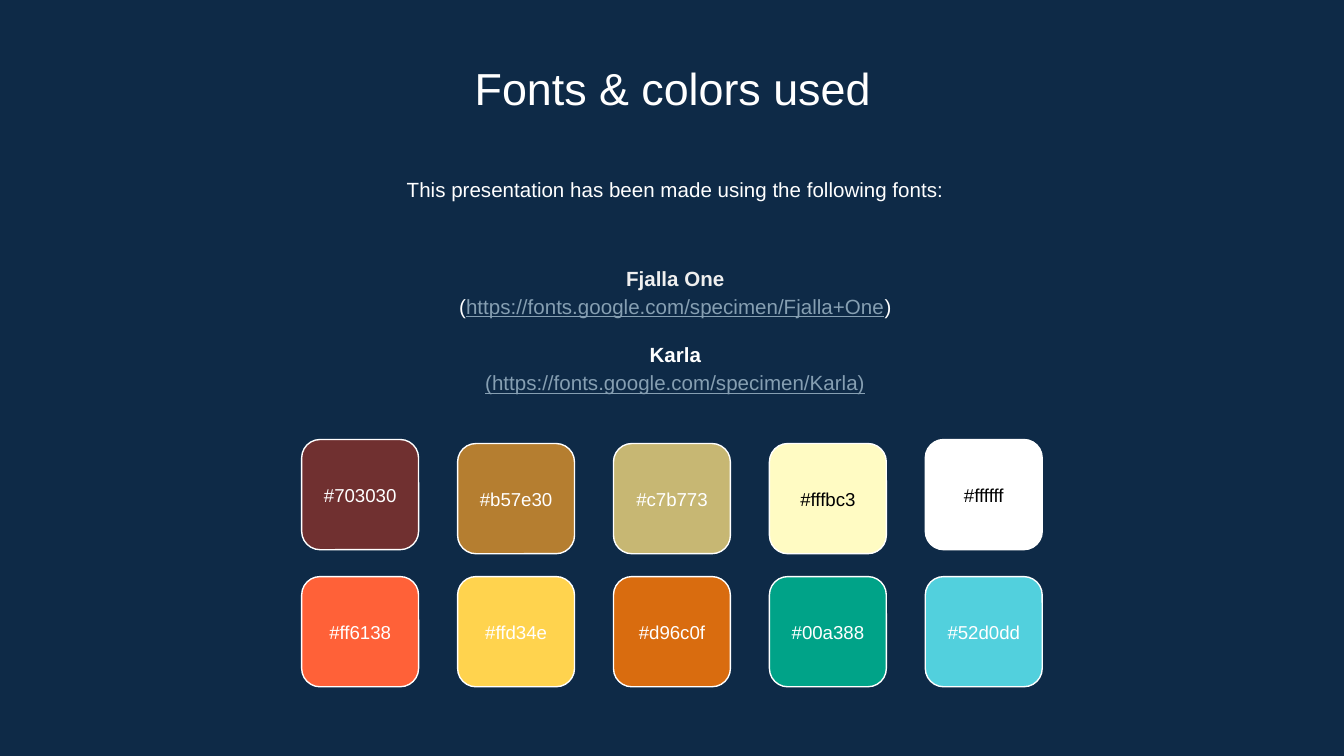
from dataclasses import dataclass

from pptx import Presentation, util as u
from pptx.dml.color import RGBColor
from pptx.enum import shapes, text

SLIDE_W = 10
SLIDE_H = SLIDE_W * 9 / 16
FONT = "Arial"
COLORS = {
    "background": "0E2A47",
    "white": "FFFFFF",
    "black": "000000",
    "soft white": "EFEFEF",
    "link": "869FB2",
}

# Swatch grid, in inches; five columns centred on the slide
COLUMNS = 5
COLUMN_STEP = 1.16
SWATCH_W, SWATCH_H, LABEL_H = 0.87, 0.82, 0.48
GRID_LEFT = (SLIDE_W - (COLUMNS - 1) * COLUMN_STEP - SWATCH_W) / 2
ROW_TOPS = (3.27, 4.29)
LOWERED = 0.03  # the inner swatches of the first row sit slightly lower


@dataclass(frozen=True)
class Area:
    left: float
    top: float
    width: float
    height: float

    def lengths(self) -> list[u.Length]:
        return [u.Inches(n) for n in (self.left, self.top, self.width, self.height)]


@dataclass(frozen=True)
class Span:
    text: str
    color: str = "white"
    bold: bool = False
    underline: bool = False


@dataclass(frozen=True)
class Line:
    spans: tuple[Span, ...]
    space_before: float = 0


@dataclass(frozen=True)
class Swatch:
    fill: str
    label_color: str = "white"


SWATCHES = (
    (Swatch("703030"), Swatch("b57e30"), Swatch("c7b773"),
     Swatch("fffbc3", "black"), Swatch("ffffff", "black")),
    (Swatch("ff6138"), Swatch("ffd34e"), Swatch("d96c0f"),
     Swatch("00a388"), Swatch("52d0dd")),
)

FONT_LINES = (
    Line((Span("Fjalla One", "soft white", bold=True),)),
    Line((Span("("),
          Span("https://fonts.google.com/specimen/Fjalla+One", "link", underline=True),
          Span(")"))),
    Line((Span("Karla", bold=True),), space_before=10.6),
    Line((Span("(https://fonts.google.com/specimen/Karla)", "link", underline=True),)),
)


def rgb(value: str) -> RGBColor:
    return RGBColor.from_string(value.upper())


def add_text(page, area: Area, lines: tuple[Line, ...], size: float,
             anchor=text.MSO_ANCHOR.MIDDLE, line_spacing: float = 1.0) -> None:
    """Add a centred text box with one paragraph per line."""
    frame = page.shapes.add_textbox(*area.lengths()).text_frame
    frame.word_wrap = True
    frame.vertical_anchor = anchor
    frame.margin_left = frame.margin_right = u.Inches(0.1)
    frame.margin_top = frame.margin_bottom = u.Inches(0.1)
    for number, line in enumerate(lines):
        para = frame.add_paragraph() if number else frame.paragraphs[0]
        para.alignment = text.PP_ALIGN.CENTER
        para.line_spacing = line_spacing
        if line.space_before:
            para.space_before = u.Pt(line.space_before)
        for span in line.spans:
            run = para.add_run()
            run.text = span.text
            run.font.name = FONT
            run.font.size = u.Pt(size)
            run.font.bold = span.bold
            run.font.underline = span.underline
            run.font.color.rgb = rgb(COLORS[span.color])


def add_swatch(page, swatch: Swatch, left: float, top: float) -> None:
    tile = page.shapes.add_shape(shapes.MSO_SHAPE.ROUNDED_RECTANGLE,
                                 *Area(left, top, SWATCH_W, SWATCH_H).lengths())
    tile.shadow.inherit = False
    tile.fill.solid()
    tile.fill.fore_color.rgb = rgb(swatch.fill)
    tile.line.color.rgb = rgb(COLORS["white"])
    tile.line.width = u.Pt(0.75)
    label_top = top + (SWATCH_H - LABEL_H) / 2
    label = Line((Span(f"#{swatch.fill}", swatch.label_color),))
    add_text(page, Area(left, label_top, SWATCH_W, LABEL_H), (label,), 10)


def main() -> None:
    deck = Presentation()
    deck.slide_width, deck.slide_height = u.Inches(SLIDE_W), u.Inches(SLIDE_H)
    page = deck.slides.add_slide(deck.slide_layouts[6])
    page.background.fill.solid()
    page.background.fill.fore_color.rgb = rgb(COLORS["background"])

    top_anchor = text.MSO_ANCHOR.TOP
    title = Line((Span("Fonts & colors used"),))
    intro = Line((Span("This presentation has been made using the following fonts:"),))
    add_text(page, Area(1.15, 0.35, 7.71, 0.53), (title,), 24, top_anchor)
    add_text(page, Area(1.17, 1.19, 7.71, 0.48), (intro,), 11, top_anchor, 1.15)
    add_text(page, Area(1.17, 1.76, 7.71, 1.37), FONT_LINES, 11, line_spacing=1.15)

    for row, swatches in enumerate(SWATCHES):
        for column, swatch in enumerate(swatches):
            inner = row == 0 and 0 < column < COLUMNS - 1
            top = ROW_TOPS[row] + (LOWERED if inner else 0)
            add_swatch(page, swatch, GRID_LEFT + column * COLUMN_STEP, top)

    deck.save("out.pptx")


if __name__ == "__main__":
    main()
